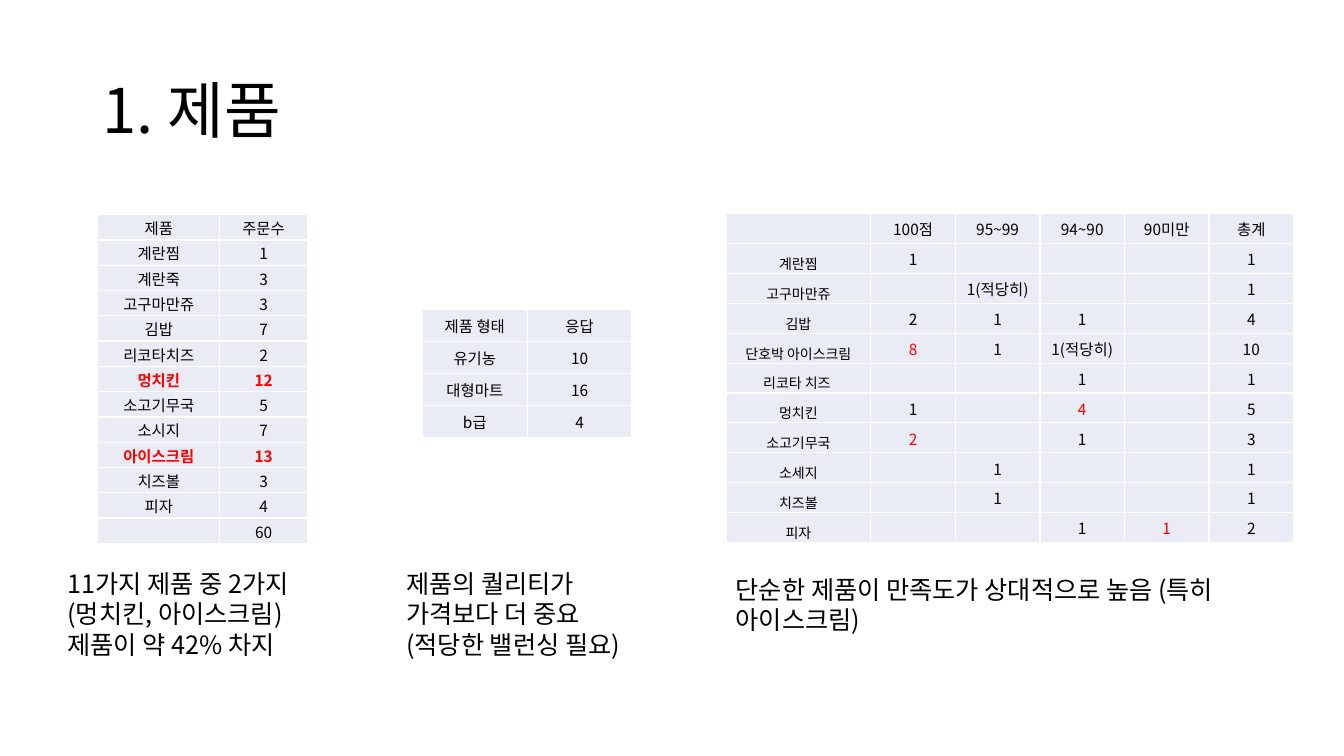
from lxml import etree
from pptx import Presentation
from pptx.dml.color import RGBColor
from pptx.enum.text import MSO_ANCHOR, PP_ALIGN
from pptx.oxml.ns import qn
from pptx.util import Inches, Pt

MIDDLE, BOTTOM, TOP = MSO_ANCHOR.MIDDLE, MSO_ANCHOR.BOTTOM, MSO_ANCHOR.TOP
CENTER, LEFT = PP_ALIGN.CENTER, PP_ALIGN.LEFT
BORDER_SIDES = ("a:lnL", "a:lnR", "a:lnT", "a:lnB")

ORDERS = [
    ("제품", "주문수"), ("계란찜", "1"), ("계란죽", "3"), ("고구마만쥬", "3"),
    ("김밥", "7"), ("리코타치즈", "2"), ("멍치킨", "12"), ("소고기무국", "5"),
    ("소시지", "7"), ("아이스크림", "13"), ("치즈볼", "3"), ("피자", "4"), ("", "60"),
]
BEST_SELLERS = {(row, col) for row in (6, 9) for col in (0, 1)}
PRODUCT_TYPES = [("제품 형태", "응답"), ("유기농", "10"), ("대형마트", "16"), ("b급", "4")]
SCORES = [
    ("", "100점", "95~99", "94~90", "90미만", "총계"),
    ("계란찜", "1", "", "", "", "1"),
    ("고구마만쥬", "", "1(적당히)", "", "", "1"),
    ("김밥", "2", "1", "1", "", "4"),
    ("단호박 아이스크림", "8", "1", "1(적당히)", "", "10"),
    ("리코타 치즈 ", "", "", "1", "", "1"),
    ("멍치킨", "1", "", "4", "", "5"),
    ("소고기무국", "2", "", "1", "", "3"),
    ("소세지", "", "1", "", "", "1"),
    ("치즈볼", "", "1", "", "", "1"),
    ("피자", "", "", "1", "1", "2"),
]
NOTABLE_SCORES = {(4, 1), (6, 3), (7, 1), (10, 4)}


def color(value):
    """Turn a hex string into a colour."""
    return RGBColor.from_string(value)


class SlideBuilder:
    """Hold the style and the slide; lengths are percentages of the slide's size."""

    FONT = "Noto Sans CJK KR"
    INK, ACCENT, CELL, BORDER = "000000", "FF0000", "E9EBF5", "FFFFFF"

    def __init__(self, deck):
        """Add a blank slide to the deck."""
        self.deck = deck
        self.slide = deck.slides.add_slide(deck.slide_layouts[6])

    def place(self, left, top, width, height):
        """Convert percentages into slide lengths."""
        across, down = self.deck.slide_width / 100, self.deck.slide_height / 100
        return [round(n) for n in (left * across, top * down, width * across, height * down)]

    def fill_paragraph(self, paragraph, words, size, ink=INK, bold=False, align=LEFT):
        """Fill one paragraph with styled words."""
        if words:
            paragraph.add_run().text = words
        paragraph.alignment = align
        font = paragraph.font
        font.name, font.size, font.bold = self.FONT, Pt(size), bold
        font.color.rgb = color(ink)
        properties = paragraph._p.pPr.find(qn("a:defRPr"))
        etree.SubElement(properties, qn("a:ea"), typeface=self.FONT)

    def text(self, area, paragraphs, size, anchor=TOP, spacing=None):
        """Add a wrapping text box."""
        frame = self.slide.shapes.add_textbox(*self.place(*area)).text_frame
        frame.word_wrap, frame.vertical_anchor = True, anchor
        for index, words in enumerate(paragraphs):
            paragraph = frame.add_paragraph() if index else frame.paragraphs[0]
            self.fill_paragraph(paragraph, words, size)
            paragraph.line_spacing = spacing

    def outline(self, cell):
        """Draw thin borders around a table cell."""
        properties = cell._tc.get_or_add_tcPr()
        for position, side in enumerate(BORDER_SIDES):
            line = etree.Element(qn(side), w=str(Pt(1)))
            fill = etree.SubElement(line, qn("a:solidFill"))
            etree.SubElement(fill, qn("a:srgbClr"), val=self.BORDER)
            properties.insert(position, line)

    def table(self, area, rows, shares, marked=(), bold_marks=False, low_labels=False):
        """Add a table with column widths in proportion to shares."""
        left, top, width, height = self.place(*area)
        table = self.slide.shapes.add_table(
            len(rows), len(shares), left, top, width, height).table
        table.first_row = table.horz_banding = False
        for column, share in zip(table.columns, shares):
            column.width = round(width * share / sum(shares))
        for r, values in enumerate(rows):
            table.rows[r].height = round(height / len(rows))
            for c, value in enumerate(values):
                cell = table.cell(r, c)
                cell.fill.solid()
                cell.fill.fore_color.rgb = color(self.CELL)
                self.outline(cell)
                cell.margin_left = cell.margin_right = cell.margin_top = Inches(0.01)
                cell.margin_bottom = 0
                label, mark = low_labels and r > 0 and c == 0, (r, c) in marked
                cell.vertical_anchor = BOTTOM if label else MIDDLE
                self.fill_paragraph(
                    cell.text_frame.paragraphs[0], value, 10 if label else 11,
                    self.ACCENT if mark else self.INK, mark and bold_marks, CENTER)


def main():
    """Build and save the slide."""
    deck = Presentation()
    deck.slide_width, deck.slide_height = Inches(13.33), Inches(7.5)
    page = SlideBuilder(deck)
    page.text((6.9, 5.33, 86.27, 19.33), ["1. 제품"], 44, MIDDLE, 0.9)
    page.table((7.28, 28.4, 15.6, 43.5), ORDERS, (1.21, 0.87), BEST_SELLERS, bold_marks=True)
    page.text((4.28, 74.53, 20.63, 13.47),
              ["11가지 제품 중 2가지(멍치킨, 아이스크림) 제품이 약 42% 차지"], 18)
    page.table((31.43, 40.93, 15.6, 16.93), PRODUCT_TYPES, (1, 1))
    page.text((29.48, 74.53, 20.18, 13.47),
              ["제품의 퀄리티가 가격보다 더 중요", "(적당한 밸런싱 필요)"], 18)
    page.table((54.01, 28.27, 42.24, 43.5), SCORES, (1.44,) + (0.84,) * 5,
               NOTABLE_SCORES, low_labels=True)
    page.text((54.01, 75.33, 38.26, 9.47),
              ["단순한 제품이 만족도가 상대적으로 높음 (특히 아이스크림)"], 18)
    deck.save("out.pptx")


if __name__ == "__main__":
    main()
